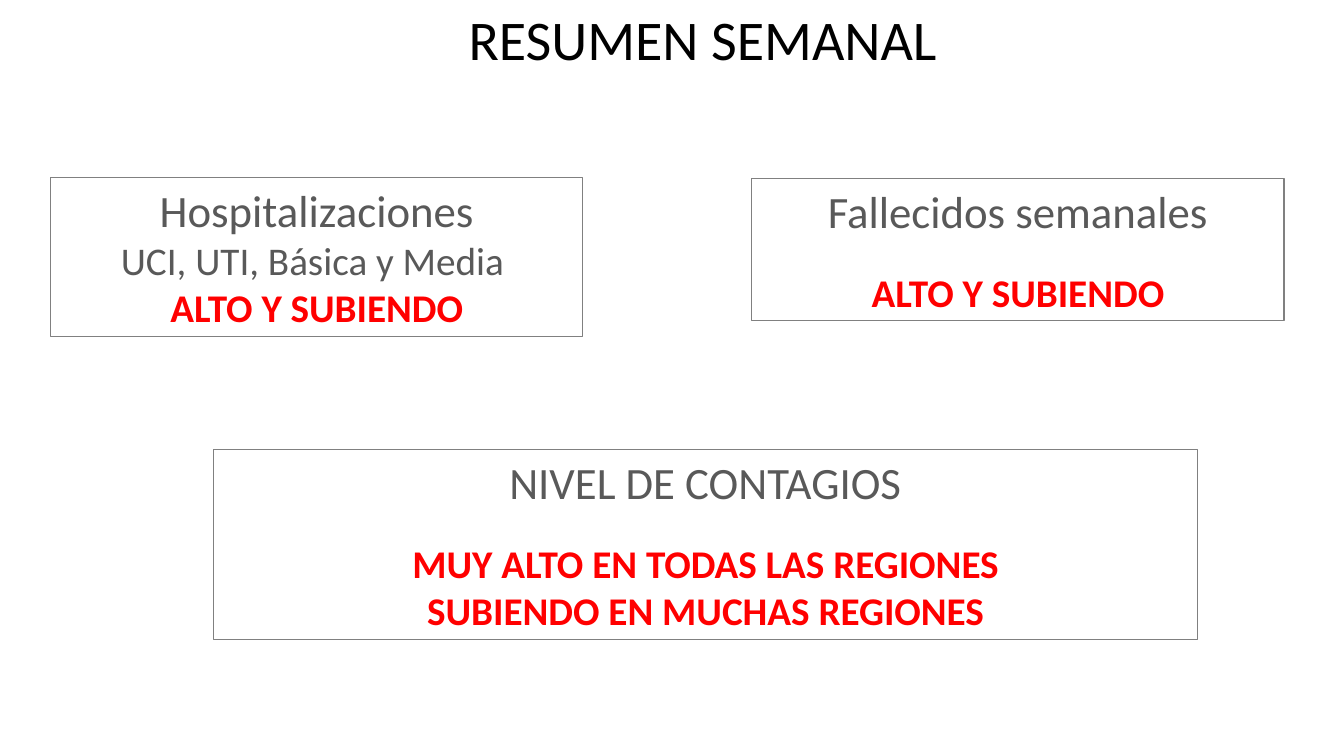
import pptx
import pptx.dml.color
import pptx.enum.shapes
import pptx.enum.text
import pptx.util

Cm = pptx.util.Cm
Pt = pptx.util.Pt


def color(value):
    return pptx.dml.color.RGBColor.from_string(value)


class SummarySlide:
    """Hold the style and the current slide of the weekly summary."""

    font = "Calibri"
    title_color = "000000"
    heading_color = "595959"
    alert_color = "FF0000"
    border_color = "808080"
    title_size = 40
    heading_size = 32
    body_size = 28

    def __init__(self, presentation):
        self.slide = presentation.slides.add_slide(presentation.slide_layouts[6])

    def add_run(self, paragraph, text, size, hex_color, bold=False):
        run = paragraph.add_run()
        run.text = text
        run.font.name = self.font
        run.font.size = Pt(size)
        run.font.bold = bold
        run.font.color.rgb = color(hex_color)

    def add_title(self, text, left, top, width, height):
        shape = self.slide.shapes.add_textbox(Cm(left), Cm(top), Cm(width), Cm(height))
        frame = shape.text_frame
        frame.word_wrap = False
        frame.auto_size = pptx.enum.text.MSO_AUTO_SIZE.SHAPE_TO_FIT_TEXT
        self.add_run(frame.paragraphs[0], text, self.title_size, self.title_color)

    def add_box(self, left, top, width, height, heading, alerts, detail=None):
        shape = self.slide.shapes.add_shape(
            pptx.enum.shapes.MSO_SHAPE.RECTANGLE, Cm(left), Cm(top), Cm(width), Cm(height)
        )
        shape.shadow.inherit = False
        shape.fill.background()
        shape.line.color.rgb = color(self.border_color)
        shape.line.width = Pt(0.75)
        frame = shape.text_frame
        frame.word_wrap = True
        frame.auto_size = pptx.enum.text.MSO_AUTO_SIZE.SHAPE_TO_FIT_TEXT
        frame.vertical_anchor = pptx.enum.text.MSO_ANCHOR.TOP

        lines = [(heading, self.heading_size, self.heading_color, False)]
        if detail:
            lines.append((detail, self.body_size, self.heading_color, False))
        lines += [(alert, self.body_size, self.alert_color, True) for alert in alerts]
        for index, line in enumerate(lines):
            paragraph = frame.add_paragraph() if index else frame.paragraphs[0]
            paragraph.alignment = pptx.enum.text.PP_ALIGN.CENTER
            if index == 1 and not detail:
                paragraph.space_before = Pt(22)
            self.add_run(paragraph, *line)


def main():
    presentation = pptx.Presentation()
    presentation.slide_width = Cm(33.87)
    presentation.slide_height = Cm(19.05)
    summary = SummarySlide(presentation)
    summary.add_title("RESUMEN SEMANAL", 11.56, 0, 12.42, 1.96)
    summary.add_box(
        1.28, 4.48, 13.41, 4.01,
        "Hospitalizaciones", ["ALTO Y SUBIENDO"], "UCI, UTI, Básica y Media ",
    )
    summary.add_box(18.95, 4.5, 13.41, 3.58, "Fallecidos semanales", ["ALTO Y SUBIENDO"])
    summary.add_box(
        5.37, 11.33, 24.82, 4.78,
        "NIVEL DE CONTAGIOS",
        ["MUY ALTO EN TODAS LAS REGIONES", "SUBIENDO EN MUCHAS REGIONES"],
    )
    presentation.save("out.pptx")


if __name__ == "__main__":
    main()
